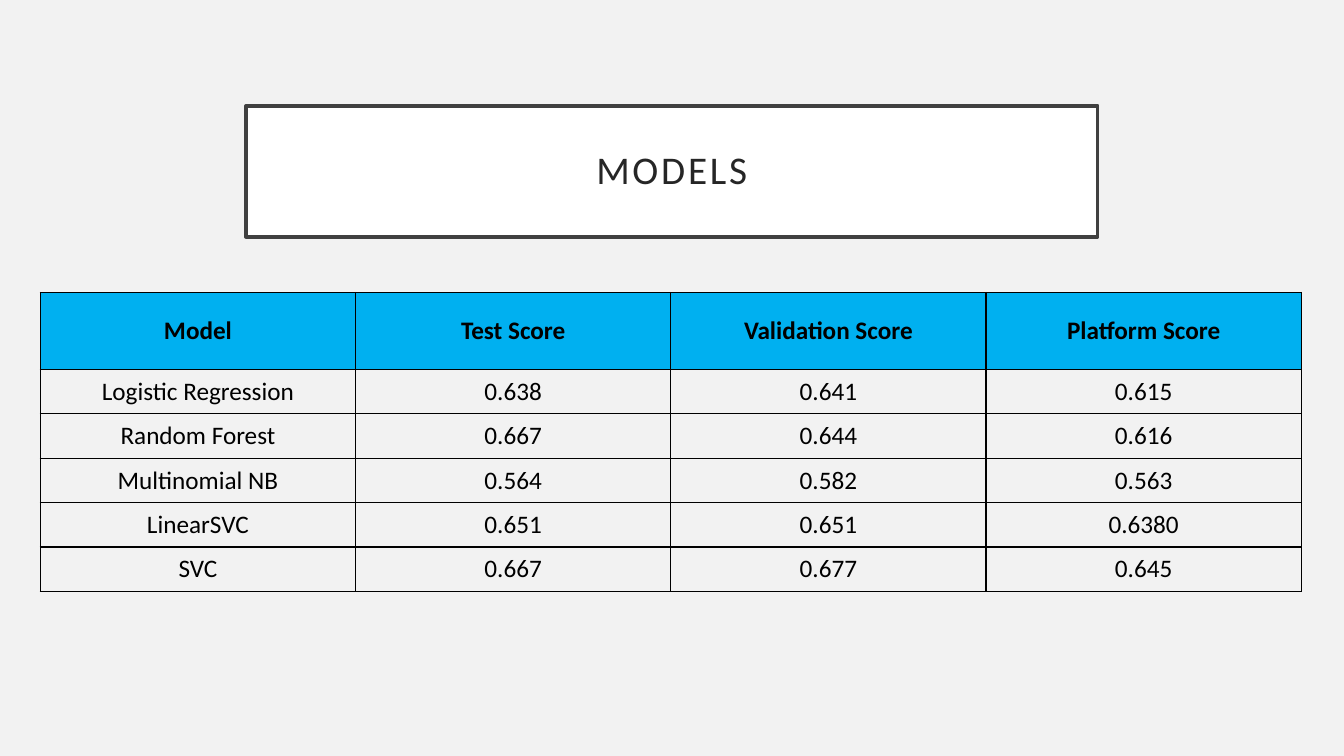
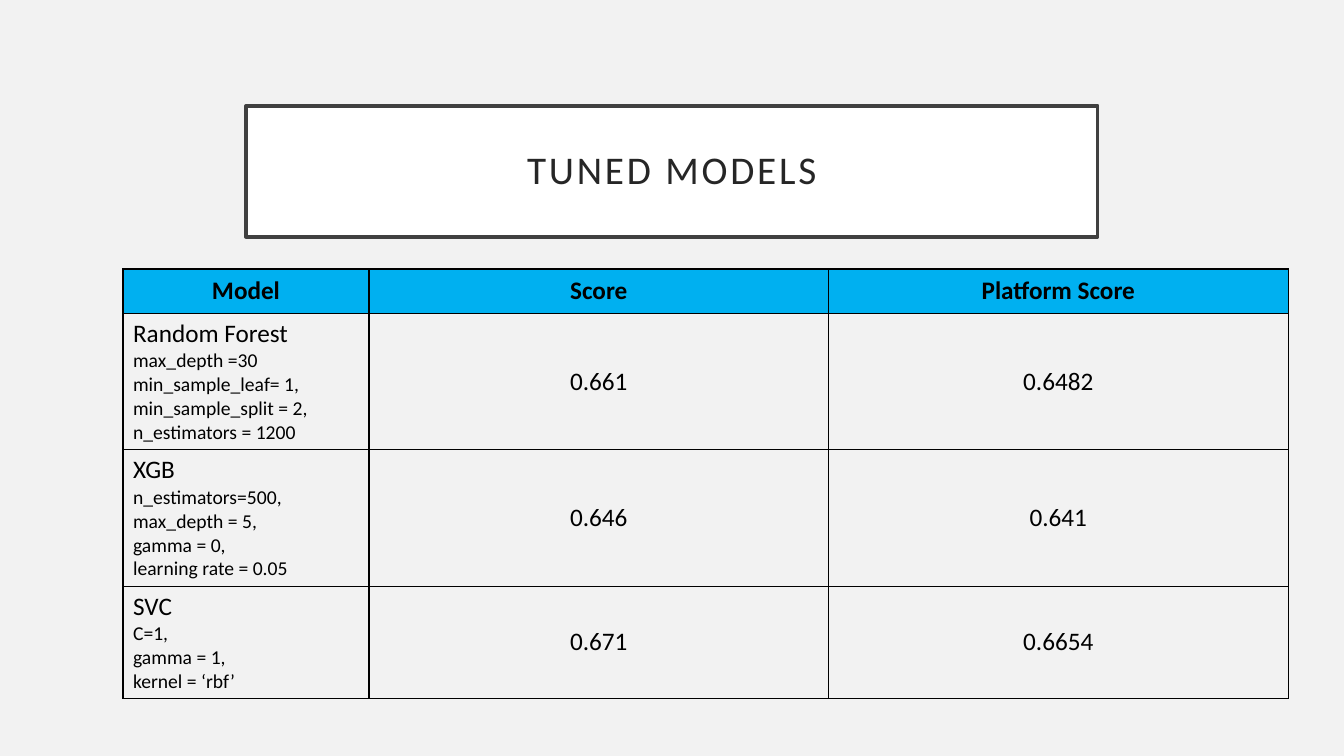
"""Build two slides that compare model scores in tables."""
import pptx
import pptx.util
import pptx.dml.color
import pptx.enum.text
import pptx.oxml
import pptx.oxml.ns

Pt = pptx.util.Pt
ALIGN = pptx.enum.text.PP_ALIGN
MIDDLE = pptx.enum.text.MSO_ANCHOR.MIDDLE

FONT = "Calibri"
COLORS = {"background": "F2F2F2", "title_fill": "FFFFFF", "title_line": "404040",
          "title_text": "262626", "header": "00B0F0", "text": "000000", "border": "000000"}
TITLE_BOX = (175.68, 75.6, 608.4, 93.6)
TITLE_INSET = 14.4
TITLE_SIZE, NAME_SIZE, PARAM_SIZE = 28, 18, 14

SLIDES = [
    {
        "title": "MODELS",
        "at": (28.8, 208.9),
        "cols": [225.2] * 4,
        "heights": [55] + [31.7] * 5,
        "rows": [
            ["Model", "Test Score", "Validation Score", "Platform Score"],
            ["Logistic Regression", "0.638", "0.641", "0.615"],
            ["Random Forest", "0.667", "0.644", "0.616"],
            ["Multinomial NB", "0.564", "0.582", "0.563"],
            ["LinearSVC", "0.651", "0.651", "0.6380"],
            ["SVC", "0.667", "0.677", "0.645"],
        ],
    },
    {
        "title": "TUNED MODELS",
        "at": (87.84, 192.2),
        "cols": [175.7, 328.3, 328.3],
        "heights": [31.7, 97.4, 97.4, 80],
        "rows": [
            ["Model", "Score", "Platform Score"],
            ["Random Forest\nmax_depth =30\nmin_sample_leaf= 1,\n"
             "min_sample_split = 2,\nn_estimators = 1200", "0.661", "0.6482"],
            ["XGB\nn_estimators=500,\nmax_depth = 5,\ngamma = 0,\n"
             "learning rate = 0.05", "0.646", "0.641"],
            ["SVC\nC=1,\ngamma = 1,\nkernel = ‘rbf’", "0.671", "0.6654"],
        ],
    },
]


def rgb(name):
    return pptx.dml.color.RGBColor.from_string(COLORS[name])


def style_paragraph(p, size, color, align, bold=False):
    p.alignment = align
    for r in p.runs:
        r.font.name = FONT
        r.font.size = Pt(size)
        r.font.bold = bold
        r.font.color.rgb = rgb(color)


def add_title(slide, text):
    sp = slide.shapes.title
    sp.left, sp.top, sp.width, sp.height = map(Pt, TITLE_BOX)
    sp.fill.solid()
    sp.fill.fore_color.rgb = rgb("title_fill")
    sp.line.color.rgb = rgb("title_line")
    sp.line.width = Pt(2.5)
    tf = sp.text_frame
    tf.text = text
    tf.word_wrap = True
    tf.auto_size = pptx.enum.text.MSO_AUTO_SIZE.NONE
    tf.vertical_anchor = MIDDLE
    tf.margin_left = tf.margin_right = tf.margin_top = tf.margin_bottom = Pt(TITLE_INSET)
    p = tf.paragraphs[0]
    p.line_spacing = 0.9
    style_paragraph(p, TITLE_SIZE, "title_text", ALIGN.CENTER)
    p.runs[0].font._element.set("spc", "200")


def add_borders(cell):
    tc_pr = cell._tc.get_or_add_tcPr()
    for i, side in enumerate("LRTB"):
        ln = pptx.oxml.parse_xml(
            f'<a:ln{side} {pptx.oxml.ns.nsdecls("a")} w="{Pt(1)}"><a:solidFill>'
            f'<a:srgbClr val="{COLORS["border"]}"/></a:solidFill></a:ln{side}>')
        tc_pr.insert(i, ln)


def fill_cell(cell, text, header):
    cell.text_frame.text = text
    cell.vertical_anchor = MIDDLE
    if header:
        cell.fill.solid()
        cell.fill.fore_color.rgb = rgb("header")
    else:
        cell.fill.background()
    align = ALIGN.LEFT if "\n" in text else ALIGN.CENTER
    for i, p in enumerate(cell.text_frame.paragraphs):
        style_paragraph(p, PARAM_SIZE if i else NAME_SIZE, "text", align, header)
    add_borders(cell)


def add_score_table(slide, at, cols, heights, rows):
    size = (sum(cols), sum(heights))
    table = slide.shapes.add_table(len(rows), len(cols), *map(Pt, at + size)).table
    for col, width in zip(table.columns, cols):
        col.width = Pt(width)
    for i, (row, height) in enumerate(zip(rows, heights)):
        table.rows[i].height = Pt(height)
        for j, text in enumerate(row):
            fill_cell(table.cell(i, j), text, i == 0)


def main():
    prs = pptx.Presentation()
    prs.slide_width, prs.slide_height = Pt(960), Pt(540)
    fill = prs.slide_master.background.fill
    fill.solid()
    fill.fore_color.rgb = rgb("background")
    for item in SLIDES:
        slide = prs.slides.add_slide(prs.slide_layouts.get_by_name("Title Only"))
        add_title(slide, item["title"])
        add_score_table(slide, item["at"], item["cols"], item["heights"], item["rows"])
    prs.save("out.pptx")


if __name__ == "__main__":
    main()
